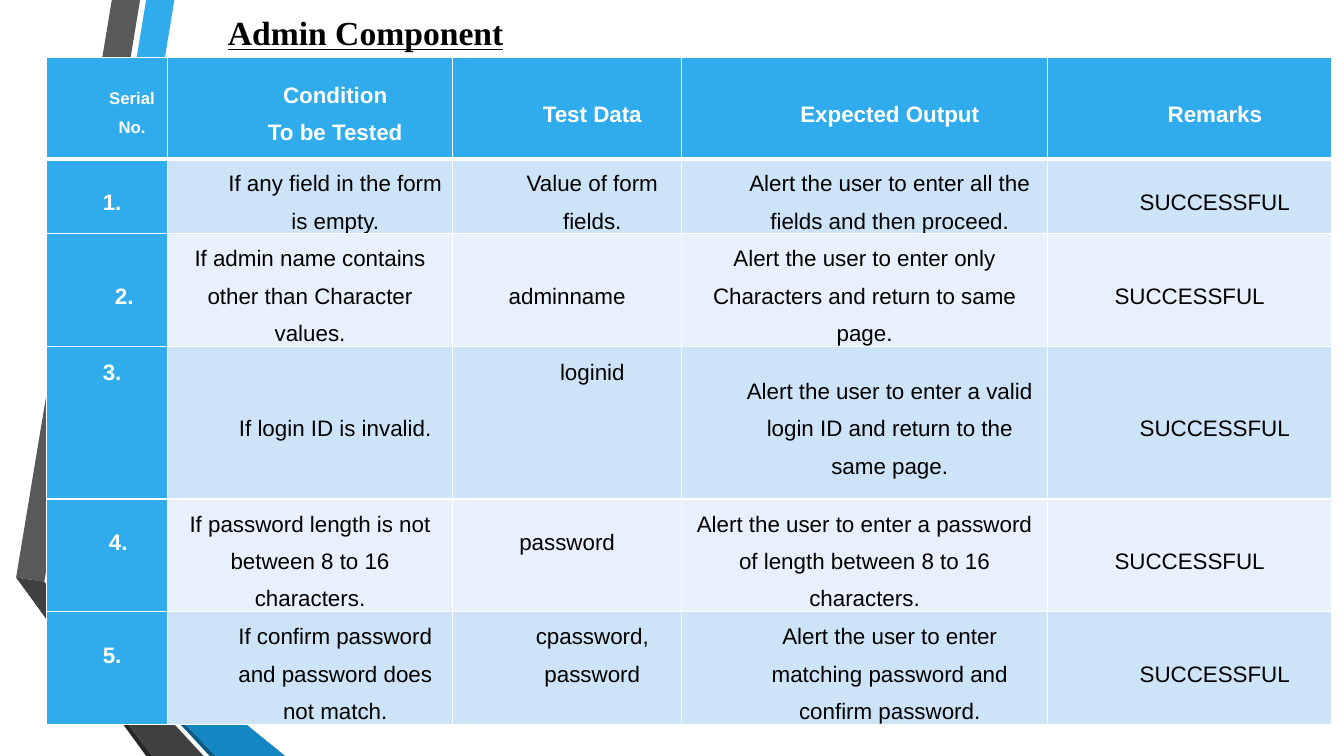
from lxml.etree import SubElement
from pptx import Presentation
from pptx.dml.color import RGBColor
from pptx.enum.text import MSO_ANCHOR, MSO_AUTO_SIZE, PP_ALIGN
from pptx.oxml.ns import qn
from pptx.util import Inches, Pt

WHITE = RGBColor(0xFF, 0xFF, 0xFF)
BLACK = RGBColor(0x00, 0x00, 0x00)
BLUE = RGBColor(0x30, 0xAC, 0xEC)
MID_BLUE = RGBColor(0x12, 0x87, 0xC3)
DARK_BLUE = RGBColor(0x0C, 0x5A, 0x82)
GRAY = RGBColor(0x59, 0x59, 0x59)
DARK_GRAY = RGBColor(0x40, 0x40, 0x40)
CHARCOAL = RGBColor(0x26, 0x26, 0x26)
ODD_ROW = RGBColor(0xCD, 0xE3, 0xF8)
EVEN_ROW = RGBColor(0xE8, 0xF1, 0xFB)

TITLE = "Admin Component"
HEADERS = ["Serial No.", "Condition\nTo be Tested", "Test Data", "Expected Output", "Remarks"]
TESTS = [
    ["1.", "If any field in the form is empty.", "Value of form fields.",
     "Alert the user to enter all the fields and then proceed.", "SUCCESSFUL"],
    ["2.", "If admin name contains other than Character values.", "adminname",
     "Alert the user to enter only Characters and return to same page.", "SUCCESSFUL"],
    ["3.", "If login ID is invalid.", "loginid",
     "Alert the user to enter a valid login ID and return to the same page.", "SUCCESSFUL"],
    ["4.", "If password length is not between 8 to 16 characters.", "password",
     "Alert the user to enter a password of length between 8 to 16 characters.", "SUCCESSFUL"],
    ["5.", "If confirm password and password does not match.", "cpassword, password",
     "Alert the user to enter matching password and confirm password.", "SUCCESSFUL"],
]
COLUMN_WIDTHS = [1.2, 2.83, 2.27, 3.63, 2.82]
ROW_HEIGHTS = [1.01, 0.74, 1.12, 1.51, 1.12, 1.12]
LINE_HEIGHT = 0.37
LINES_BELOW = {(3, 0): 3, (3, 2): 3, (4, 0): 1, (4, 2): 1, (5, 0): 1, (5, 2): 1}
SERIAL_INDENTS = {2: 0.62, 4: 0.56}
RIBBONS = [
    (BLUE, [(0.5, 5.78), (0.77, 5.83), (1.73, 0), (1.45, 0)]),
    (GRAY, [(1.39, 0), (1.11, 0), (0.16, 5.73), (0.44, 5.77)]),
    (CHARCOAL, [(0.16, 5.73), (1.45, 7.5), (1.51, 7.5)]),
    (DARK_BLUE, [(0.5, 5.79), (2.08, 7.5), (2.14, 7.5)]),
    (MID_BLUE, [(0.5, 5.79), (2.14, 7.5), (2.83, 7.5), (0.77, 5.83), (0.5, 5.78)]),
    (DARK_GRAY, [(2.02, 7.5), (0.48, 5.83), (0.44, 5.77), (0.16, 5.73), (1.51, 7.5)]),
]


def add_ribbon(slide, color, points):
    corners = [(Inches(x), Inches(y)) for x, y in points]
    builder = slide.shapes.build_freeform(*corners[0])
    builder.add_line_segments(corners[1:], close=True)
    shape = builder.convert_to_shape()
    shape.shadow.inherit = False
    shape.fill.solid()
    shape.fill.fore_color.rgb = color
    shape.line.fill.background()


def add_title(slide):
    title = slide.shapes.title
    title.left, title.top = Inches(2.16), Inches(0.07)
    title.width, title.height = Inches(2.96), Inches(0.5)
    frame = title.text_frame
    frame.word_wrap = False
    frame.auto_size = MSO_AUTO_SIZE.NONE
    frame.vertical_anchor = MSO_ANCHOR.TOP
    paragraph = frame.paragraphs[0]
    paragraph.alignment = PP_ALIGN.LEFT
    run = paragraph.add_run()
    run.text = TITLE
    run.font.name = "Times New Roman"
    run.font.size = Pt(24)
    run.font.bold = True
    run.font.underline = True
    run.font.color.rgb = BLACK


def set_borders(cell, bottom_width):
    properties = cell._tc.get_or_add_tcPr()
    for side, width in (("L", 1), ("R", 1), ("T", 1), ("B", bottom_width)):
        line = SubElement(properties, qn(f"a:ln{side}"), w=str(Pt(width)))
        fill = SubElement(line, qn("a:solidFill"))
        SubElement(fill, qn("a:srgbClr"), val=str(WHITE))


def fill_cell(cell, row, column, text):
    is_label = row == 0 or column == 0
    set_borders(cell, 3 if row == 0 else 1)
    cell.fill.solid()
    cell.fill.fore_color.rgb = BLUE if is_label else ODD_ROW if row % 2 else EVEN_ROW
    cell.vertical_anchor = MSO_ANCHOR.MIDDLE
    cell.margin_left = cell.margin_right = Inches(0.06)
    cell.margin_top = 0
    cell.margin_bottom = Inches(LINES_BELOW.get((row, column), 0) * LINE_HEIGHT)
    indent = 0.5 if row == 0 or row % 2 else 0
    if column == 0:
        indent = SERIAL_INDENTS.get(row, indent)
    frame = cell.text_frame
    for index, line in enumerate(text.split("\n")):
        paragraph = frame.add_paragraph() if index else frame.paragraphs[0]
        paragraph.alignment = PP_ALIGN.LEFT if column == 0 and row else PP_ALIGN.CENTER
        paragraph.line_spacing = 1.5
        paragraph._p.get_or_add_pPr().set("marL", str(Inches(indent)))
        run = paragraph.add_run()
        run.text = line
        run.font.name = "Arial"
        run.font.size = Pt(12 if row == column == 0 else 16)
        run.font.bold = is_label
        run.font.color.rgb = WHITE if is_label else BLACK


def add_test_table(slide):
    rows = [HEADERS] + TESTS
    table = slide.shapes.add_table(
        len(rows), len(HEADERS), Inches(0.46), Inches(0.57),
        Inches(sum(COLUMN_WIDTHS)), Inches(sum(ROW_HEIGHTS))).table
    for column, width in zip(table.columns, COLUMN_WIDTHS):
        column.width = Inches(width)
    for row, height in zip(table.rows, ROW_HEIGHTS):
        row.height = Inches(height)
    for row, texts in enumerate(rows):
        for column, text in enumerate(texts):
            fill_cell(table.cell(row, column), row, column, text)


def main():
    presentation = Presentation()
    presentation.slide_width = Inches(13.33)
    presentation.slide_height = Inches(7.5)
    slide = presentation.slides.add_slide(presentation.slide_layouts[5])
    for color, points in RIBBONS:
        add_ribbon(slide, color, points)
    add_test_table(slide)
    add_title(slide)
    presentation.save("out.pptx")


if __name__ == "__main__":
    main()
